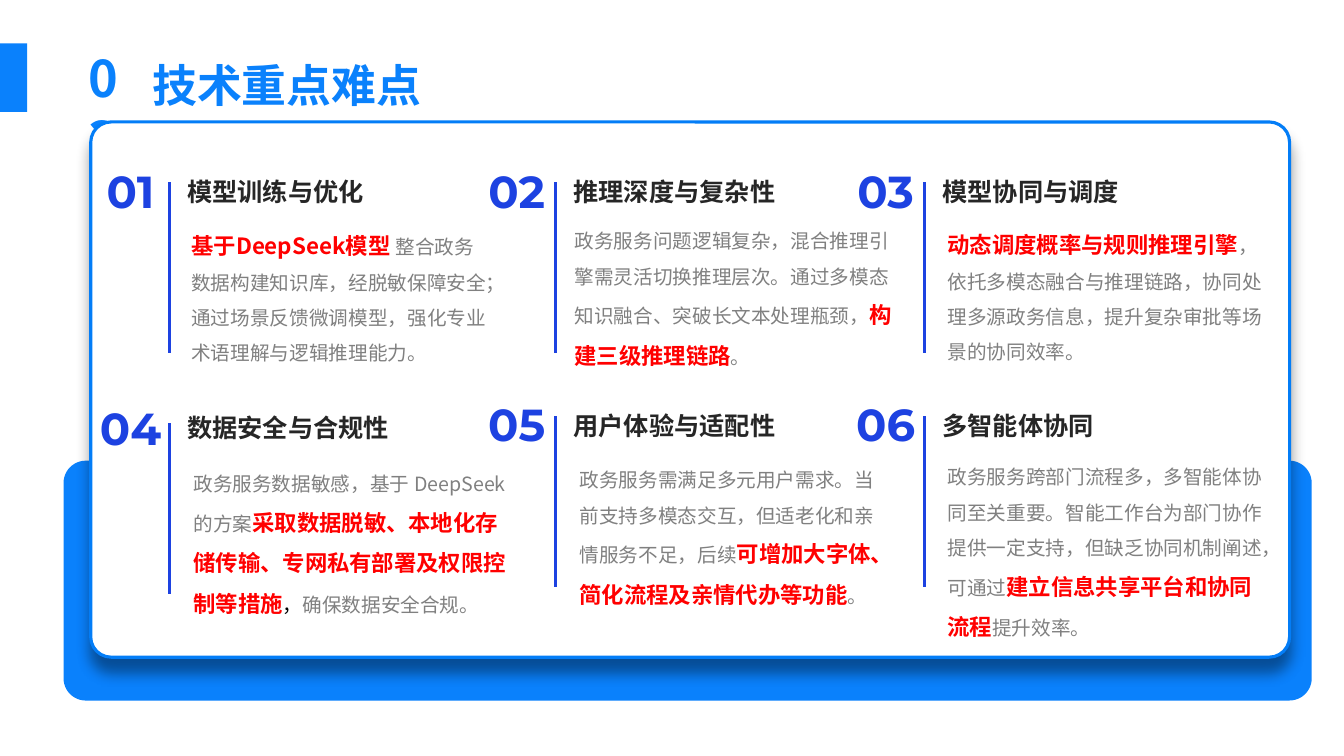
from lxml import etree
from pptx import Presentation
from pptx.dml.color import RGBColor
from pptx.enum.lang import MSO_LANGUAGE_ID
from pptx.enum.shapes import MSO_CONNECTOR, MSO_SHAPE
from pptx.enum.text import MSO_ANCHOR, PP_ALIGN
from pptx.oxml.ns import qn
from pptx.util import Inches, Pt

RECT, ROUND = MSO_SHAPE.RECTANGLE, MSO_SHAPE.ROUNDED_RECTANGLE
LINE = MSO_CONNECTOR.STRAIGHT
LEFT, CENTER = PP_ALIGN.LEFT, PP_ALIGN.CENTER
TOP, MIDDLE = MSO_ANCHOR.TOP, MSO_ANCHOR.MIDDLE
CHINESE = MSO_LANGUAGE_ID.SIMPLIFIED_CHINESE

CELL = Inches(0.01)  # the slide is a grid of 1333 columns by 750 rows
SANS, DIGIT = "Noto Sans CJK SC", "Montserrat"
BLUE, EDGE, INDIGO = "0A81FC", "037DF7", "1D42E1"

# Text styles: font attributes, then colour
STYLES = {
    "part": ({"name": SANS, "size": Pt(36), "bold": True}, BLUE),
    "title": ({"name": SANS, "size": Pt(32), "bold": True}, BLUE),
    "number": ({"name": DIGIT, "size": Pt(32), "bold": True}, INDIGO),
    "head": ({"name": SANS, "size": Pt(18), "bold": True}, "262626"),
    "plain": ({"name": SANS, "size": Pt(14), "bold": False}, "808080"),
    "black": ({"name": SANS, "size": Pt(14), "bold": False}, "000000"),
    "key": ({"name": SANS, "size": Pt(16), "bold": True}, "FF0000"),
}

hue = RGBColor.from_string

deck = Presentation()
deck.slide_width, deck.slide_height = 1333 * CELL, 750 * CELL
slide = deck.slides.add_slide(deck.slide_layouts[6])
shapes = slide.shapes


def write(area, runs, align=LEFT, space=1.0, wrap=True, anchor=TOP, inset=None):
    """Add a text box on the grid; runs are (style, text) pairs."""
    frame = shapes.add_textbox(*(n * CELL for n in area)).text_frame
    frame.word_wrap, frame.vertical_anchor = wrap, anchor
    if inset is not None:
        for side in ("left", "top", "right", "bottom"):
            setattr(frame, "margin_" + side, inset)
    para = frame.paragraphs[0]
    para.alignment, para.line_spacing = align, space
    for style, text in runs:
        run = para.add_run()
        run.text = text
        values, code = STYLES[style]
        for key, value in values.items():
            setattr(run.font, key, value)
        run.font.color.rgb = hue(code)
        run.font.language_id = CHINESE
        face = etree.SubElement(run.font._element, qn("a:ea"))
        face.set("typeface", values["name"])


def block(kind, area, fill, bend=None):
    """Add a filled shape without outline on the grid."""
    shape = shapes.add_shape(kind, *(n * CELL for n in area))
    shape.shadow.inherit = False
    shape.fill.solid()
    shape.fill.fore_color.rgb = hue(fill)
    shape.line.fill.background()
    if bend is not None:
        shape.adjustments[0] = bend
    return shape


# Header
block(RECT, (0, 43, 27, 68), BLUE)
write((67, 42, 71, 71), [("part", "03")], align=CENTER, wrap=False)
write((151, 43, 579, 65), [("title", "技术重点难点")],
      space=1.3, anchor=MIDDLE, inset=0)

# Base and card
block(ROUND, (63, 457, 1238, 238), BLUE, 0.093)
card = block(ROUND, (90, 121, 1189, 531), "FFFFFF", 0.038)
card.line.color.rgb = hue(EDGE)
card.line.width = Pt(2.25)
effects = card._element.spPr.find(qn("a:effectLst"))
shade = etree.SubElement(effects, qn("a:outerShdw"), blurRad=str(Pt(10)),
                         dist=str(Pt(10)), dir="5400000", algn="t", rotWithShape="0")
tone = etree.SubElement(shade, qn("a:srgbClr"), val="000000")
etree.SubElement(tone, qn("a:alpha"), val="40000")

# Six topics: heading, (number, heading, rule) tops, body area, body runs
TOPICS = [
    ("模型训练与优化", (158, 170, 181), (180, 212, 317, 152), [
        ("key", "基于DeepSeek模型 "),
        ("plain", "整合政务数据构建知识库，经脱敏保障安全；"
                  "通过场景反馈微调模型，强化专业术语理解与逻辑推理能力。")]),
    ("推理深度与复杂性", (158, 170, 181), (560, 211, 335, 157), [
        ("plain", "政务服务问题逻辑复杂，混合推理引擎需灵活切换推理层次。"
                  "通过多模态知识融合、突破长文本处理瓶颈，"),
        ("key", "构建三级推理链路"),
        ("plain", "。")]),
    ("模型协同与调度", (158, 170, 181), (930, 211, 335, 152), [
        ("key", "动态调度概率与规则推理引擎"),
        ("plain", "，依托多模态融合与推理链路，协同处理多源政务信息，"
                  "提升复杂审批等场景的协同效率。")]),
    ("数据安全与合规性", (393, 404, 420), (182, 452, 338, 162), [
        ("plain", "政务服务数据敏感，基于 DeepSeek 的方案"),
        ("key", "采取数据脱敏、本地化存储传输、专网私有部署及权限控制等措施"),
        ("black", "，"),
        ("plain", "确保数据安全合规。")]),
    ("用户体验与适配性", (389, 402, 413), (565, 448, 321, 157), [
        ("plain", "政务服务需满足多元用户需求。当前支持多模态交互，"
                  "但适老化和亲情服务不足，后续"),
        ("key", "可增加大字体、简化流程及亲情代办等功能"),
        ("plain", "。")]),
    ("多智能体协同", (389, 402, 413), (930, 445, 335, 192), [
        ("plain", "政务服务跨部门流程多，多智能体协同至关重要。"
                  "智能工作台为部门协作提供一定支持，但缺乏协同机制阐述，可通过"),
        ("key", "建立信息共享平台和协同流程"),
        ("plain", "提升效率。")]),
]
COLS = (168, 551, 917)

for i, (head, tops, area, runs) in enumerate(TOPICS):
    x = COLS[i % 3]
    high, mid, low = tops
    write(area, runs, space=1.5)
    write((x + 8, mid, 222, 40), [("head", head)], wrap=False)
    write((x - 86, high, 95, 83), [("number", f"{i + 1:02}")], align=CENTER)
    rule = shapes.add_connector(LINE, x * CELL, low * CELL,
                                x * CELL, (low + 169) * CELL)
    rule.line.color.rgb = hue(INDIGO)
    rule.line.width = Pt(2.25)
    etree.SubElement(rule._element.spPr, qn("a:effectLst"))

deck.save("out.pptx")
